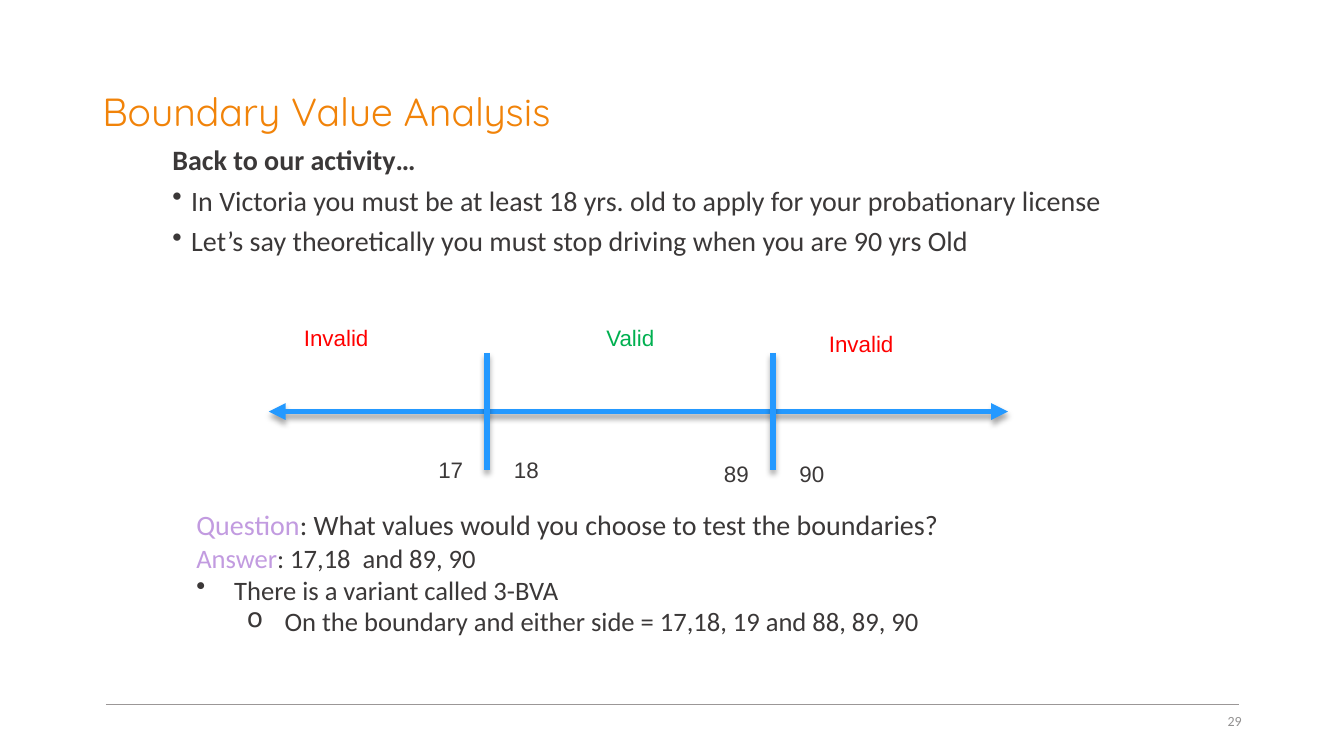
from dataclasses import dataclass
from typing import Optional

from lxml.etree import SubElement
from pptx import Presentation
from pptx.dml.color import RGBColor
from pptx.enum.shapes import MSO_CONNECTOR as Connector
from pptx.enum.text import MSO_ANCHOR as Anchor, PP_ALIGN as Align
from pptx.oxml.ns import qn
from pptx.util import Pt

COLORS = {
    "title": "F18309",
    "body": "3B3838",
    "page": "929191",
    "rule": "9B9797",
    "axis": "2499FF",
    "invalid": "FF0000",
    "valid": "00B050",
    "prompt": "C29BE0",
    "shadow": "000000",
}


@dataclass(frozen=True)
class Run:
    text: str
    size: float
    color: str = "body"
    font: str = "Calibri"
    bold: bool = False


@dataclass(frozen=True)
class Line:
    runs: tuple[Run, ...]
    bullet: Optional[str] = None
    margin: float = 0
    hanging: float = 0
    level: int = 0


@dataclass(frozen=True)
class Label:
    text: str
    left: float
    top: float
    width: float
    color: str = "body"


@dataclass(frozen=True)
class Stroke:
    start: tuple[float, float]
    end: tuple[float, float]
    color: str = "axis"
    width: float = 4
    arrows: bool = False
    shadow: bool = True


AXIS_Y = 294
TICK_HALF = 42
TICKS = (348, 552)

STROKES = [
    Stroke((75.6, 503.4), (885, 503.4), "rule", 1, shadow=False),
    Stroke((192, AXIS_Y), (720, AXIS_Y), arrows=True),
    *(Stroke((x, AXIS_Y - TICK_HALF), (x, AXIS_Y + TICK_HALF)) for x in TICKS),
]

LABELS = [
    Label("17", 306, 322.5, 42),
    Label("18", 360, 322.5, 42),
    Label("89", 510, 325.2, 42),
    Label("90", 564, 325.2, 42),
    Label("Invalid", 210, 228, 102, "invalid"),
    Label("Invalid", 585, 232, 102, "invalid"),
    Label("Valid", 426, 228, 84, "valid"),
]

TITLE = [Line((Run("Boundary Value Analysis", 28, "title", "Quicksand"),))]

ACTIVITY = [
    Line((Run("Back to our activity…", 20, bold=True),)),
    *(
        Line((Run(text, 20),), "•", 13.5, 13.5)
        for text in (
            "In Victoria you must be at least 18 yrs. old to apply for your probationary license",
            "Let’s say theoretically you must stop driving when you are 90 yrs Old",
        )
    ),
]

QUESTION = [
    Line((
        Run("Question", 20, "prompt"),
        Run(": What values would you choose to test the boundaries?", 20),
    )),
    Line((Run("Answer", 19, "prompt"), Run(": 17,18  and 89, 90", 19))),
    Line((Run("There is a variant called 3-BVA", 19),), "•", 27, 27),
    Line(
        (Run("On the boundary and either side = 17,18, 19 and 88, 89, 90", 19),),
        "o", 63, 27, 1,
    ),
]


def rgb(name: str) -> RGBColor:
    return RGBColor.from_string(COLORS[name])


def add_text(slide, lines: list[Line], left: float, top: float, width: float,
             height: float, *, anchor=Anchor.TOP, align=Align.LEFT,
             spacing: float = 1, before: float = 0) -> None:
    shape = slide.shapes.add_textbox(Pt(left), Pt(top), Pt(width), Pt(height))
    frame = shape.text_frame
    frame.word_wrap = True
    frame.vertical_anchor = anchor
    for index, line in enumerate(lines):
        paragraph = frame.add_paragraph() if index else frame.paragraphs[0]
        paragraph.alignment = align
        paragraph.level = line.level
        paragraph.line_spacing = spacing
        paragraph.space_before = Pt(before)
        if line.bullet:
            properties = paragraph._p.get_or_add_pPr()
            properties.set("marL", str(Pt(line.margin)))
            properties.set("indent", str(-Pt(line.hanging)))
            SubElement(properties, qn("a:buChar"), char=line.bullet)
        for item in line.runs:
            run = paragraph.add_run()
            run.text = item.text
            run.font.name = item.font
            run.font.size = Pt(item.size)
            run.font.bold = item.bold
            run.font.color.rgb = rgb(item.color)


def add_stroke(slide, stroke: Stroke) -> None:
    connector = slide.shapes.add_connector(
        Connector.STRAIGHT, *(Pt(value) for value in stroke.start + stroke.end)
    )
    connector.line.color.rgb = rgb(stroke.color)
    connector.line.width = Pt(stroke.width)
    properties = connector._element.spPr
    if stroke.arrows:
        outline = properties.find(qn("a:ln"))
        for end in ("a:headEnd", "a:tailEnd"):
            SubElement(outline, qn(end), type="triangle")
    effects = SubElement(properties, qn("a:effectLst"))
    if stroke.shadow:
        shadow = SubElement(
            effects, qn("a:outerShdw"), blurRad=str(Pt(4)), dist=str(Pt(3)),
            dir="5400000", rotWithShape="0",
        )
        color = SubElement(shadow, qn("a:srgbClr"), val=COLORS["shadow"])
        SubElement(color, qn("a:alpha"), val="35000")


def main() -> None:
    presentation = Presentation()
    presentation.slide_width = Pt(960)
    presentation.slide_height = Pt(540)
    slide = presentation.slides.add_slide(presentation.slide_layouts[6])

    add_text(slide, TITLE, 66, 28.8, 828, 104.4, anchor=Anchor.MIDDLE, spacing=0.9)
    add_text(slide, ACTIVITY, 116, 100.8, 702, 401.8, spacing=0.9, before=7.5)
    add_text(slide, [Line((Run("29", 10, "page"),))], 678, 500.4, 216, 28.8,
             anchor=Anchor.MIDDLE, align=Align.RIGHT)
    for stroke in STROKES:
        add_stroke(slide, stroke)
    for label in LABELS:
        run = Run(label.text, 16, label.color, "Arial")
        add_text(slide, [Line((run,))], label.left, label.top, label.width, 26.6)
    add_text(slide, QUESTION, 133.2, 359.3, 586.8, 100.8)

    presentation.save("out.pptx")


if __name__ == "__main__":
    main()
